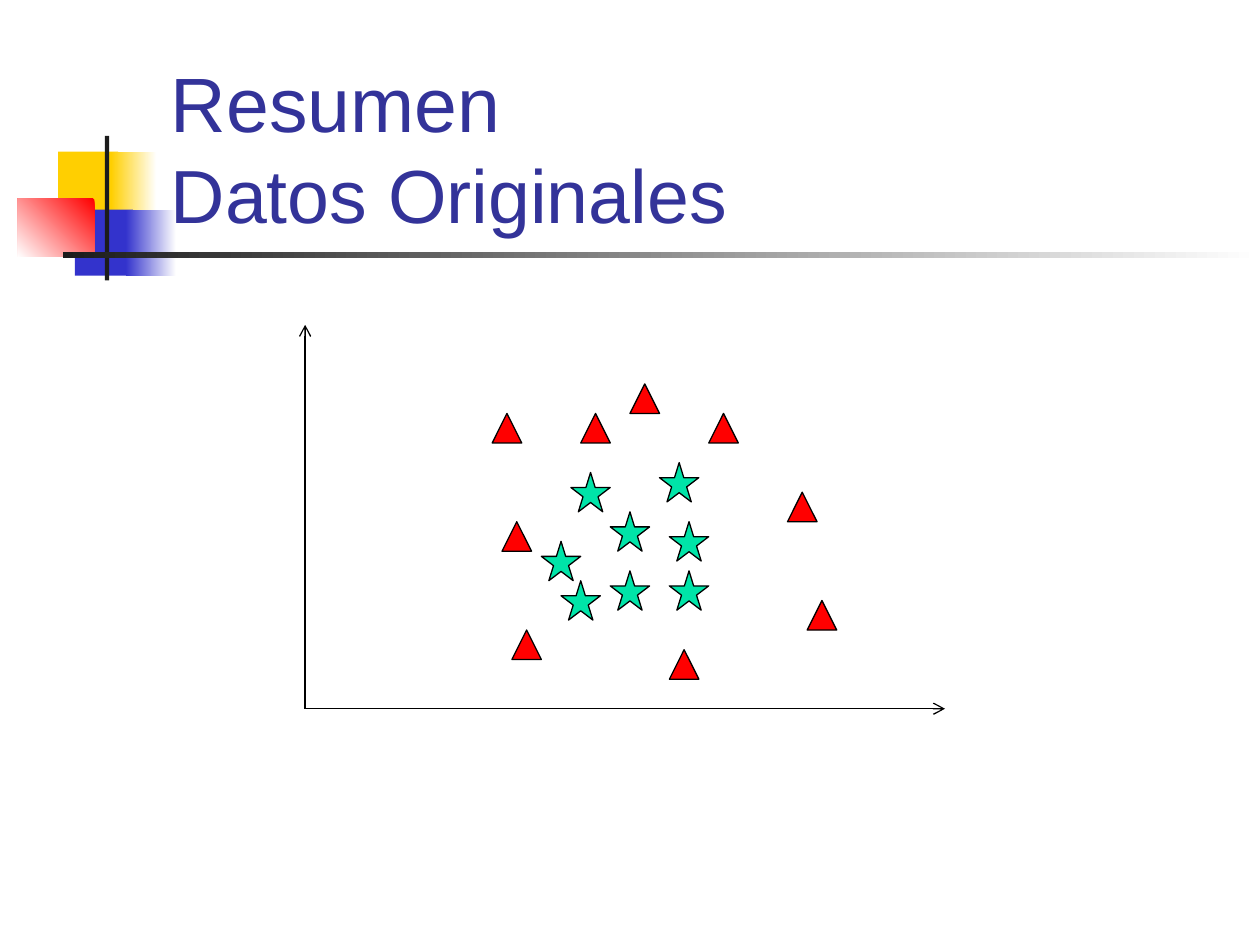
import pptx
import pptx.util
import pptx.dml.color
import pptx.enum.shapes
import pptx.enum.text
import pptx.oxml
import pptx.oxml.ns

HUES = {
    "white": "FFFFFF", "black": "000000", "ink": "1C1C1C",
    "gold": "FFCF01", "blue": "3333CC", "red": "FF0000",
    "navy": "333399", "mint": "00E4A8",
}
KIND = pptx.enum.shapes.MSO_SHAPE


class Page:
    """Draw styled elements on a grid of 128 columns by 96 rows."""

    font = "Arial"
    line = 0.74

    def __init__(self, deck):
        self.cell = deck.slide_width / 128
        self.slide = deck.slides.add_slide(deck.slide_layouts[6])

    def grid(self, *spans):
        return [round(span * self.cell) for span in spans]

    def hue(self, name):
        return pptx.dml.color.RGBColor.from_string(HUES[name])

    def shape(self, kind, spot, fill, fade=None, edge=False):
        item = self.slide.shapes.add_shape(kind, *self.grid(*spot))
        item.shadow.inherit = False
        if fade is None:
            item.fill.solid()
            item.fill.fore_color.rgb = self.hue(fill)
        else:
            item.fill.gradient()
            item.fill.gradient_angle = fade
            for stop, name in zip(item.fill.gradient_stops, (fill, "white")):
                stop.color.rgb = self.hue(name)
        if edge:
            item.line.color.rgb = self.hue("black")
            item.line.width = pptx.util.Pt(self.line)
        else:
            item.line.fill.background()

    def marks(self, kind, size, fill, spots):
        for col, row in spots:
            self.shape(kind, (col, row, size, size), fill, edge=True)

    def arrow(self, *ends):
        item = self.slide.shapes.add_connector(
            pptx.enum.shapes.MSO_CONNECTOR.STRAIGHT, *self.grid(*ends))
        item.line.color.rgb = self.hue("black")
        item.line.width = pptx.util.Pt(self.line)
        space = pptx.oxml.ns.nsdecls("a")
        item.line._get_or_add_ln().append(
            pptx.oxml.parse_xml(f'<a:tailEnd {space} type="arrow"/>'))
        item._element.spPr.append(
            pptx.oxml.parse_xml(f"<a:effectLst {space}/>"))

    def title(self, spot, lines, sizes, pitch):
        frame = self.slide.shapes.add_textbox(*self.grid(*spot)).text_frame
        frame.word_wrap = True
        frame.vertical_anchor = pptx.enum.text.MSO_ANCHOR.BOTTOM
        frame.margin_bottom = pptx.util.Inches(0.03)
        para = frame.paragraphs[0]
        para.text = "\v".join(lines)
        para.line_spacing = pptx.util.Pt(pitch)
        for run, size in zip(para.runs, sizes):
            run.font.name = self.font
            run.font.size = pptx.util.Pt(size)
            run.font.color.rgb = self.hue("navy")


deck = pptx.Presentation()
deck.slide_width = pptx.util.Inches(10)
deck.slide_height = pptx.util.Inches(7.5)
page = Page(deck)

for spot, fill, fade in (
    ((5.9, 15.4, 6.1, 6.7), "gold", None),
    ((11.3, 15.4, 4.6, 6.7), "gold", 0),
    ((7.6, 21.3, 5.9, 6.7), "blue", None),
    ((12.8, 21.3, 5.1, 6.7), "blue", 0),
    ((1.8, 20.2, 7.8, 5.9), "red", 225),
    ((10.65, 13.8, 0.45, 14.7), "ink", None),
    ((6.4, 25.6, 121.6, 0.6), "ink", 0),
):
    page.shape(KIND.RECTANGLE, spot, fill, fade)

page.title((16.1, 8.6, 109, 16), ("Resumen", "Datos Originales"), (44, 43), 52)

page.marks(KIND.STAR_5_POINT, 4, "mint", (
    (58, 48), (55, 55), (62, 52), (68, 58),
    (67, 47), (57, 59), (68, 53), (62, 58)))
page.marks(KIND.ISOSCELES_TRIANGLE, 3, "red", (
    (80, 50), (51, 53), (82, 61), (72, 42), (52, 64),
    (68, 66), (59, 42), (64, 39), (50, 42)))

page.arrow(31, 72, 96, 72)
page.arrow(31, 72, 31, 33)

deck.save("out.pptx")
